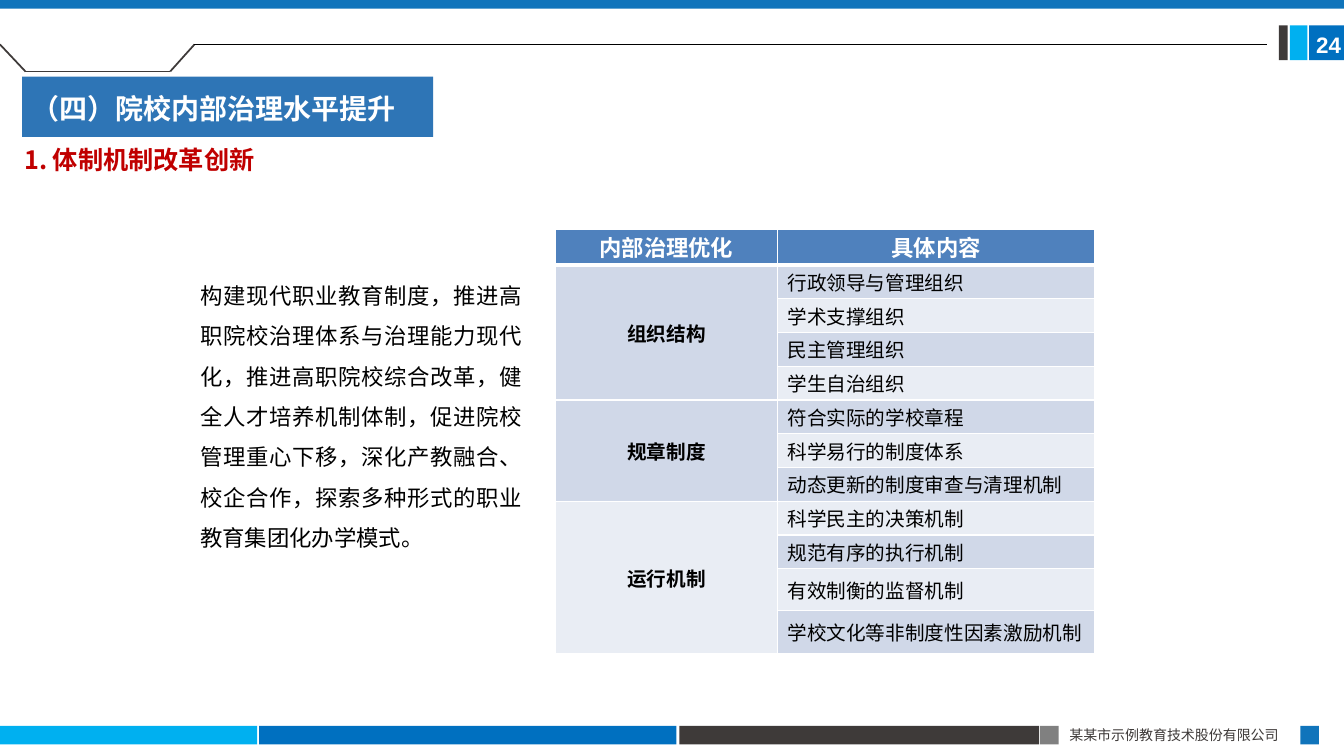
from lxml.etree import SubElement
from pptx import Presentation
from pptx.dml.color import RGBColor
from pptx.enum.shapes import MSO_CONNECTOR, MSO_SHAPE
from pptx.enum.text import MSO_ANCHOR, MSO_AUTO_SIZE, PP_ALIGN
from pptx.oxml import parse_xml
from pptx.oxml.ns import nsdecls, qn
from pptx.util import Cm, Pt

SANS = "Noto Sans CJK SC"


def paint(fill, color):
    fill.solid()
    fill.fore_color.rgb = RGBColor.from_string(color)


def write(frame, text, size=14, color="000000", bold=False,
          align=PP_ALIGN.LEFT, face=SANS, space=None):
    frame.word_wrap = True
    line = frame.paragraphs[0]
    line.alignment = align
    if space:
        line.line_spacing = space
    run = line.add_run()
    run.text = text
    run.font.size = Pt(size)
    run.font.bold = bold
    run.font.name = face
    paint(run.font.fill, color)
    SubElement(run.font._element, qn("a:ea"), typeface=face)


deck = Presentation()
deck.slide_width, deck.slide_height = Cm(33.87), Cm(19.05)
slide = deck.slides.add_slide(deck.slide_layouts[5])
shapes = slide.shapes

# Bars: footer, page marker, top edge, title panel
bars = [
    (0, 18.29, 6.48, 0.47, "00B0F0"),
    (6.53, 18.29, 10.52, 0.47, "0070C0"),
    (17.12, 18.29, 9.07, 0.47, "3E3A39"),
    (26.21, 18.29, 0.47, 0.47, "808080"),
    (32.77, 18.29, 0.47, 0.47, "1074BB"),
    (32.99, 0.64, 0.88, 0.88, "0070C0"),
    (32.51, 0.64, 0.44, 0.88, "00B0F0"),
    (32.23, 0.64, 0.22, 0.88, "3E3A39"),
    (0, 0, 33.87, 0.22, "1074BB"),
    (0.56, 1.93, 10.36, 1.52, "2E75B6"),
]
for left, top, width, height, color in bars:
    bar = shapes.add_shape(MSO_SHAPE.RECTANGLE, Cm(left), Cm(top), Cm(width), Cm(height))
    bar.shadow.inherit = False
    paint(bar.fill, color)
    bar.line.fill.background()

# Title, on top of its panel
title = shapes.title
bar._element.addnext(title._element)
title.left, title.top, title.width, title.height = Cm(0.53), Cm(1.93), Cm(10.29), Cm(1.27)
title.text_frame.auto_size = MSO_AUTO_SIZE.NONE
title.text_frame.vertical_anchor = MSO_ANCHOR.TOP
write(title.text_frame, "（四）院校内部治理水平提升", size=20, color="FFFFFF", bold=True, space=1.3)

# Header rule with its notch
bends = [(0, 1.12), (0.64, 1.8), (4.29, 1.8), (4.9, 1.12), (31.93, 1.12)]
styles = [("3E3A39", 1.25)] * 3 + [("000000", 0.5)]
for start, end, (color, weight) in zip(bends, bends[1:], styles):
    rule = shapes.add_connector(MSO_CONNECTOR.STRAIGHT, *map(Cm, start + end))
    paint(rule.line.fill, color)
    rule.line.width = Pt(weight)
    SubElement(rule._element.spPr, qn("a:effectLst"))

# Text boxes
body = ("构建现代职业教育制度，推进高职院校治理体系与治理能力现代化，推进高职院校综合改革，"
        "健全人才培养机制体制，促进院校管理重心下移，深化产教融合、校企合作，"
        "探索多种形式的职业教育集团化办学模式。")
notes = [
    (26.7, 18.19, 6.1, 0.69, "某某市示例教育技术股份有限公司",
     dict(size=10, color="3E3A39", align=PP_ALIGN.JUSTIFY)),
    (32.92, 0.66, 1.27, 0.94, "24", dict(size=16, color="FFFFFF", bold=True, face="Arial")),
    (4.8, 6.65, 8.61, 7.44, body, dict(size=16, align=PP_ALIGN.JUSTIFY, space=1.5)),
    (0.36, 3.51, 6.4, 1.02, "1. 体制机制改革创新", dict(size=18, color="C00000", bold=True)),
]
for left, top, width, height, text, form in notes:
    box = shapes.add_textbox(Cm(left), Cm(top), Cm(width), Cm(height))
    write(box.text_frame, text, **form)

# Governance table
groups = [
    ("组织结构", ["行政领导与管理组织", "学术支撑组织", "民主管理组织", "学生自治组织"]),
    ("规章制度", ["符合实际的学校章程", "科学易行的制度体系", "动态更新的制度审查与清理机制"]),
    ("运行机制", ["科学民主的决策机制", "规范有序的执行机制", "有效制衡的监督机制",
              "学校文化等非制度性因素激励机制"]),
]
tall = [0.91] + [0.85] * 9 + [1.06, 1.09]
grid = shapes.add_table(len(tall), 2, Cm(14), Cm(5.77), Cm(13.59), Cm(sum(tall))).table
grid.columns[0].width, grid.columns[1].width = Cm(5.59), Cm(8)

# Cell borders, fills and margins
for row, height in enumerate(tall):
    grid.rows[row].height = Cm(height)
    for cell in grid.rows[row].cells:
        cell.vertical_anchor = MSO_ANCHOR.MIDDLE
        cell.margin_top = cell.margin_bottom = 0
        props = cell._tc.get_or_add_tcPr()
        for side in "LRTB":
            thick = (row, side) in [(0, "B"), (1, "T")]
            props.append(parse_xml(
                f'<a:ln{side} {nsdecls("a")} w="{Pt(3 if thick else 1)}"><a:solidFill>'
                f'<a:srgbClr val="FFFFFF"/></a:solidFill></a:ln{side}>'))
        paint(cell.fill, "4F81BD" if row == 0 else "D0D8E8" if row % 2 else "E9EDF4")

# Cell text
for col, head in enumerate(["内部治理优化", "具体内容"]):
    write(grid.cell(0, col).text_frame, head, size=16, color="FFFFFF", bold=True,
          align=PP_ALIGN.CENTER)
row = 1
for name, items in groups:
    first = grid.cell(row, 0)
    first.merge(grid.cell(row + len(items) - 1, 0))
    write(first.text_frame, name, bold=True, align=PP_ALIGN.CENTER)
    for item in items:
        write(grid.cell(row, 1).text_frame, item, align=PP_ALIGN.JUSTIFY)
        row += 1

deck.save("out.pptx")
